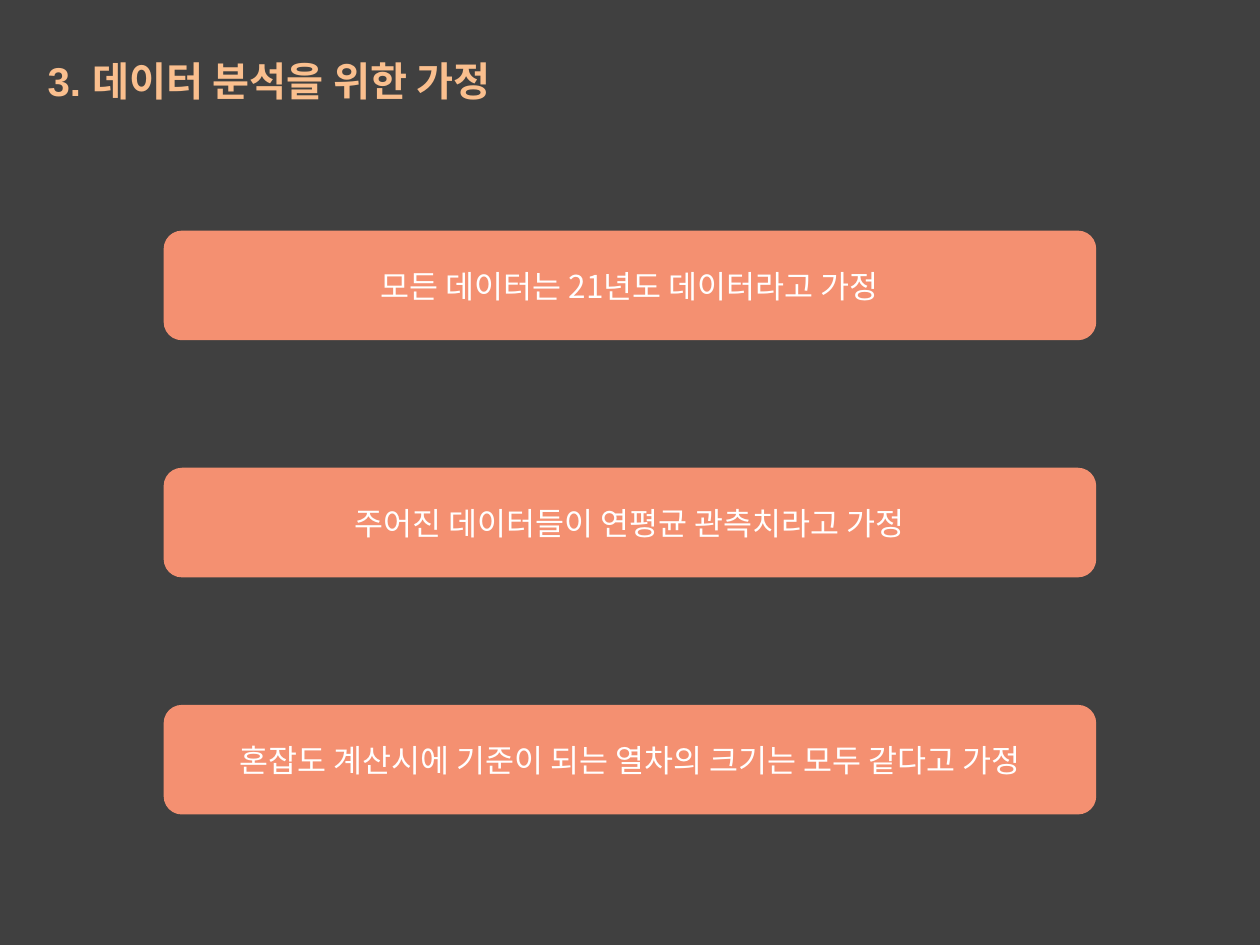
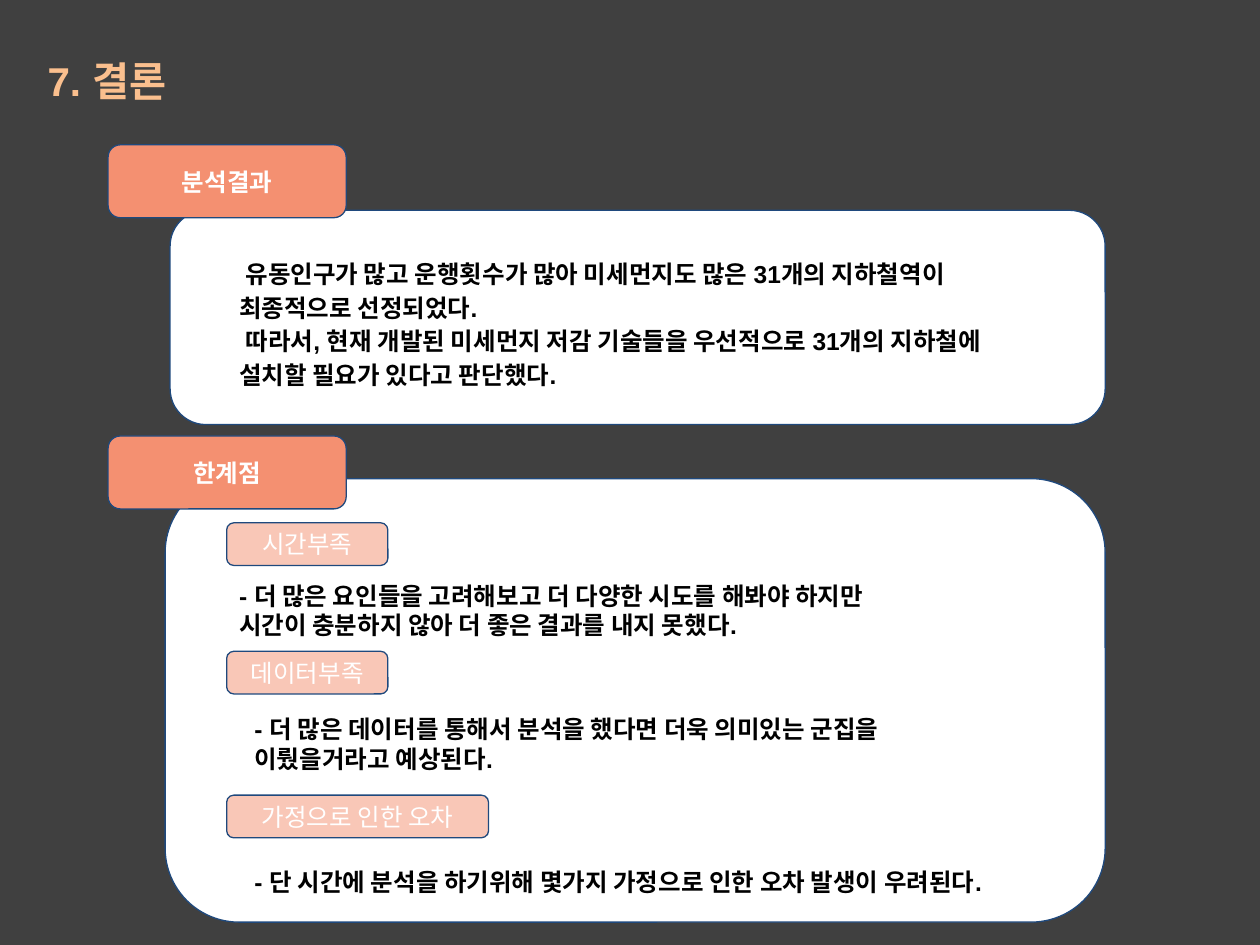
from dataclasses import dataclass

from lxml.etree import SubElement
from pptx import Presentation
from pptx.dml.color import RGBColor
from pptx.enum.shapes import MSO_SHAPE
from pptx.enum.text import MSO_ANCHOR, MSO_AUTO_SIZE, PP_ALIGN
from pptx.oxml.ns import qn
from pptx.util import Cm, Pt


@dataclass(frozen=True)
class Theme:
    background: RGBColor = RGBColor(0x40, 0x40, 0x40)
    heading: RGBColor = RGBColor(0xFA, 0xBF, 0x8E)
    coral: RGBColor = RGBColor(0xF4, 0x90, 0x71)
    outline: RGBColor = RGBColor(0x1F, 0x49, 0x7D)
    white: RGBColor = RGBColor(0xFF, 0xFF, 0xFF)
    black: RGBColor = RGBColor(0, 0, 0)
    latin_font: str = "Arial"
    korean_font: str = "Noto Sans CJK KR"
    title_size: int = 23
    assumption_size: int = 18
    body_size: int = 14
    outline_width: float = 0.75
    pill_opacity: int = 50


THEME = Theme()


def add_run(paragraph, text, size, color, bold=False, font=THEME.latin_font):
    run = paragraph.add_run()
    run.text = text
    run.font.size = Pt(size)
    run.font.bold = bold
    run.font.color.rgb = color
    run.font.name = font
    SubElement(run.font._element, qn("a:ea"), typeface=THEME.korean_font)


def set_margins(frame, horizontal, vertical):
    frame.margin_left = frame.margin_right = Cm(horizontal)
    frame.margin_top = frame.margin_bottom = Cm(vertical)
    frame.word_wrap = True


def add_titled_slide(prs, heading):
    slide = prs.slides.add_slide(prs.slide_layouts[5])
    title = slide.shapes.title
    title.left, title.top = Cm(0.71), Cm(1.12)
    title.width, title.height = Cm(20.4), Cm(1.14)
    frame = title.text_frame
    set_margins(frame, 0.25, 0.13)
    frame.vertical_anchor = MSO_ANCHOR.TOP
    frame.auto_size = MSO_AUTO_SIZE.SHAPE_TO_FIT_TEXT
    paragraph = frame.paragraphs[0]
    paragraph.alignment = PP_ALIGN.LEFT
    paragraph.line_spacing = 0.9
    add_run(paragraph, heading, THEME.title_size, THEME.heading, bold=True)
    return slide


def add_panel(slide, kind, left, top, width, height, fill, outlined=True):
    panel = slide.shapes.add_shape(kind, Cm(left), Cm(top), Cm(width), Cm(height))
    panel.shadow.inherit = False
    panel.fill.solid()
    panel.fill.fore_color.rgb = fill
    if outlined:
        panel.line.color.rgb = THEME.outline
        panel.line.width = Pt(THEME.outline_width)
    else:
        panel.line.fill.background()
    return panel


def add_centred_text(panel, text, size, margin, **style):
    frame = panel.text_frame
    set_margins(frame, 0.25, margin)
    frame.vertical_anchor = MSO_ANCHOR.MIDDLE
    paragraph = frame.paragraphs[0]
    paragraph.alignment = PP_ALIGN.CENTER
    add_run(paragraph, text, size, THEME.white, **style)


def add_assumption(slide, top, text):
    bar = add_panel(slide, MSO_SHAPE.FLOWCHART_ALTERNATE_PROCESS,
                    3.3, top, 18.8, 2.21, THEME.coral, outlined=False)
    add_centred_text(bar, text, THEME.assumption_size, 0.13, font=THEME.korean_font)


def add_card(slide, left, top, width, height):
    add_panel(slide, MSO_SHAPE.ROUNDED_RECTANGLE, left, top, width, height, THEME.white)


def add_section_tab(slide, top, text):
    tab = add_panel(slide, MSO_SHAPE.ROUNDED_RECTANGLE, 2.18, top, 4.8, 1.47, THEME.coral)
    add_centred_text(tab, text, THEME.body_size, 0.25, bold=True)


def add_limit_pill(slide, top, width, text):
    pill = add_panel(slide, MSO_SHAPE.ROUNDED_RECTANGLE, 4.57, top, width, 0.86, THEME.coral)
    color = pill.fill._xPr.find(qn("a:solidFill")).find(qn("a:srgbClr"))
    SubElement(color, qn("a:alpha"), val=str(THEME.pill_opacity * 1000))
    add_centred_text(pill, text, THEME.body_size, 0.25)


def add_body_text(slide, left, top, width, height, texts, spacing=None, first_indent=0):
    box = slide.shapes.add_textbox(Cm(left), Cm(top), Cm(width), Cm(height))
    frame = box.text_frame
    set_margins(frame, 0.25, 0.25)
    frame.auto_size = MSO_AUTO_SIZE.SHAPE_TO_FIT_TEXT
    for index, text in enumerate(texts):
        paragraph = frame.add_paragraph() if index else frame.paragraphs[0]
        paragraph.line_spacing = spacing
        if first_indent:
            paragraph._p.get_or_add_pPr().set("indent", str(Cm(first_indent)))
        add_run(paragraph, text, THEME.body_size, THEME.black, bold=True)


def build_assumptions(prs):
    slide = add_titled_slide(prs, "3. 데이터 분석을 위한 가정")
    assumptions = (
        "모든 데이터는 21년도 데이터라고 가정",
        "주어진 데이터들이 연평균 관측치라고 가정",
        "혼잡도 계산시에 기준이 되는 열차의 크기는 모두 같다고 가정",
    )
    for index, assumption in enumerate(assumptions):
        add_assumption(slide, 4.65 + 4.78 * index, assumption)


def build_conclusion(prs):
    slide = add_titled_slide(prs, "7. 결론")
    add_card(slide, 3.43, 4.24, 18.85, 4.32)
    add_section_tab(slide, 2.92, "분석결과")
    add_body_text(slide, 4.57, 4.88, 16.51, 3.18, (
        "유동인구가 많고 운행횟수가 많아 미세먼지도 많은 31개의 지하철역이 최종적으로 선정되었다.",
        "따라서, 현재 개발된 미세먼지 저감 기술들을 우선적으로 31개의 지하철에 설치할 필요가 있다고 판단했다.",
    ), spacing=1.15, first_indent=0.13)

    add_card(slide, 3.33, 9.65, 18.95, 8.94)
    add_section_tab(slide, 8.79, "한계점")
    limits = (
        (10.54, 3.25, "시간부족", (4.57, 11.46, 13.39, 1.7),
         "- 더 많은 요인들을 고려해보고 더 다양한 시도를 해봐야 하지만 시간이 충분하지 않아 더 좋은 결과를 내지 못했다."),
        (13.13, 3.25, "데이터부족", (4.88, 14.15, 13.39, 1.7),
         "- 더 많은 데이터를 통해서 분석을 했다면 더욱 의미있는 군집을 이뤘을거라고 예상된다."),
        (16.03, 5.28, "가정으로 인한 오차", (4.88, 17.22, 16.51, 1.12),
         "- 단 시간에 분석을 하기위해 몇가지 가정으로 인한 오차 발생이 우려된다."),
    )
    for pill_top, pill_width, limit, note_area, note in limits:
        add_limit_pill(slide, pill_top, pill_width, limit)
        add_body_text(slide, *note_area, (note,))


def main():
    prs = Presentation()
    prs.slide_width, prs.slide_height = Cm(25.4), Cm(19.05)
    backdrop = prs.slide_master.background.fill
    backdrop.solid()
    backdrop.fore_color.rgb = THEME.background
    build_assumptions(prs)
    build_conclusion(prs)
    prs.save("out.pptx")


if __name__ == "__main__":
    main()
